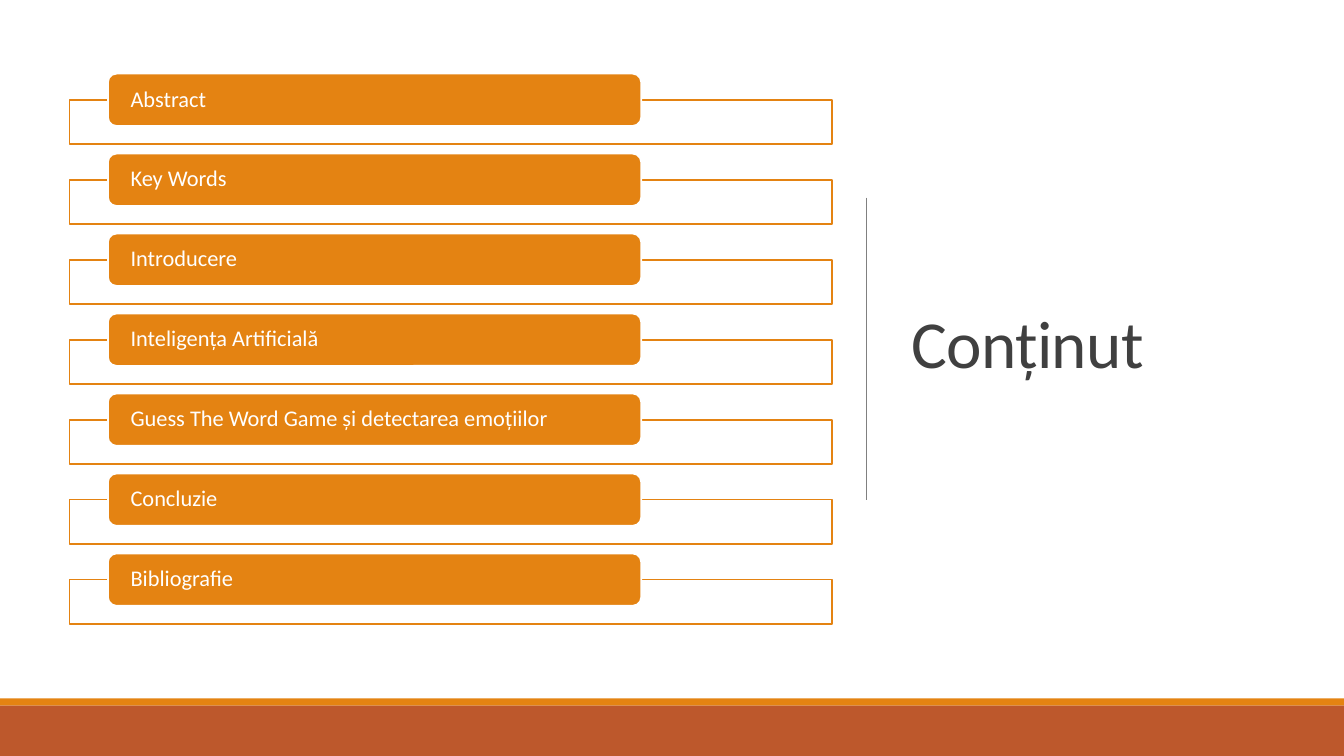
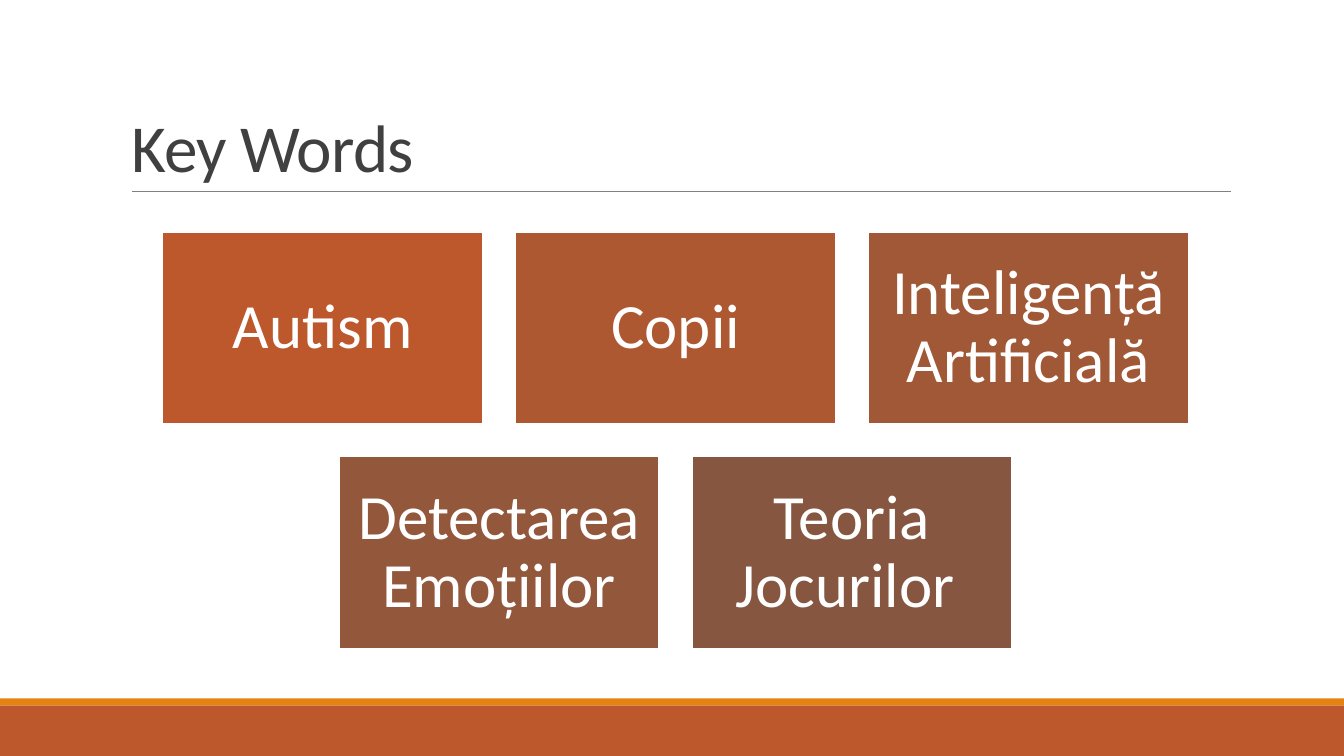
"""Builds the contents and key words slides."""
from lxml import etree
from pptx import Presentation
from pptx.dml.color import RGBColor
from pptx.enum import shapes, text
from pptx.oxml import ns
from pptx.util import Inches, Pt

WHITE = RGBColor(0xFF, 0xFF, 0xFF)
ORANGE = RGBColor(0xE4, 0x83, 0x12)
RUST = RGBColor(0xBD, 0x58, 0x2C)
TITLE_GRAY = RGBColor(0x40, 0x40, 0x40)
RULE_GRAY = RGBColor(0x80, 0x80, 0x80)
KEYWORD_FILLS = (
    RUST,
    RGBColor(0xAE, 0x58, 0x32),
    RGBColor(0xA0, 0x58, 0x37),
    RGBColor(0x93, 0x57, 0x3C),
    RGBColor(0x86, 0x56, 0x40),
)

TOPICS = (
    "Abstract",
    "Key Words",
    "Introducere",
    "Inteligența Artificială",
    "Guess The Word Game și detectarea emoțiilor",
    "Concluzie",
    "Bibliografie",
)
KEYWORD_ROWS = (
    ("Autism", "Copii", "Inteligență Artificială"),
    ("Detectarea Emoțiilor", "Teoria Jocurilor "),
)


def write(frame, words, size=16, color=WHITE, align=text.PP_ALIGN.LEFT,
          anchor=text.MSO_ANCHOR.MIDDLE, line_spacing=0.9, tracking=None,
          insets=(0.1, 0.05)):
    frame.word_wrap = True
    frame.auto_size = text.MSO_AUTO_SIZE.NONE
    frame.vertical_anchor = anchor
    frame.margin_left = frame.margin_right = Inches(insets[0])
    frame.margin_top = frame.margin_bottom = Inches(insets[1])
    paragraph = frame.paragraphs[0]
    paragraph.alignment = align
    paragraph.line_spacing = line_spacing
    run = paragraph.add_run()
    run.text = words
    run.font.name = "Calibri"
    run.font.size = Pt(size)
    run.font.color.rgb = color
    if tracking is not None:
        run.font._element.set("spc", str(int(tracking * 100)))


class Deck:
    def __init__(self):
        self.deck = Presentation()
        self.deck.slide_width = Inches(13.33)
        self.deck.slide_height = Inches(7.5)
        self.slide = None

    def add_slide(self, title, box, anchor):
        self.slide = self.deck.slides.add_slide(self.deck.slide_layouts[5])
        heading = self.slide.shapes.title
        heading.left, heading.top, heading.width, heading.height = map(Inches, box)
        write(heading.text_frame, title, size=48, color=TITLE_GRAY, anchor=anchor,
              line_spacing=0.85, tracking=-0.5)
        self.box(0, 6.93, 13.33, 0.07, ORANGE)
        self.box(0, 7, 13.33, 0.5, RUST)

    def box(self, left, top, width, height, fill, outline=None, rounded=False):
        kind = shapes.MSO_SHAPE.ROUNDED_RECTANGLE if rounded else shapes.MSO_SHAPE.RECTANGLE
        box = self.slide.shapes.add_shape(
            kind, Inches(left), Inches(top), Inches(width), Inches(height))
        box.shadow.inherit = False
        box.fill.solid()
        box.fill.fore_color.rgb = fill
        if outline is None:
            box.line.fill.background()
        else:
            box.line.color.rgb = outline
            box.line.width = Pt(1.25)
        return box

    def rule(self, start_x, start_y, end_x, end_y):
        rule = self.slide.shapes.add_connector(
            shapes.MSO_CONNECTOR.STRAIGHT,
            Inches(start_x), Inches(start_y), Inches(end_x), Inches(end_y))
        rule.line.color.rgb = RULE_GRAY
        rule.line.width = Pt(0.5)
        etree.SubElement(rule._element.spPr, ns.qn("a:effectLst"))

    def topic(self, words, top):
        self.box(0.69, top + 0.26, 7.56, 0.44, WHITE, ORANGE)
        label = self.box(1.07, top, 5.29, 0.52, ORANGE, WHITE, rounded=True)
        write(label.text_frame, words, insets=(0.2, 0))

    def keyword(self, words, left, top, width, height, fill):
        card = self.box(left, top, width, height, fill, WHITE)
        write(card.text_frame, words, size=45, align=text.PP_ALIGN.CENTER,
              insets=(0.19, 0.19))

    def save(self):
        self.deck.save("out.pptx")


def contents_slide(deck):
    deck.add_slide("Conținut", (8.94, 0.69, 3.69, 5.53), text.MSO_ANCHOR.MIDDLE)
    deck.rule(8.59, 1.96, 8.59, 4.96)
    first_top, last_top = 0.73, 5.49
    pitch = (last_top - first_top) / (len(TOPICS) - 1)
    for position, topic in enumerate(TOPICS):
        deck.topic(topic, first_top + position * pitch)


def keywords_slide(deck):
    deck.add_slide("Key Words", (1.2, 0.31, 11, 1.59), text.MSO_ANCHOR.BOTTOM)
    deck.rule(1.31, 1.9, 12.21, 1.9)
    center, first_top = 6.7, 2.3
    width, height, gap = 3.18, 1.91, 0.32
    fills = iter(KEYWORD_FILLS)
    for row, keywords in enumerate(KEYWORD_ROWS):
        row_width = len(keywords) * (width + gap) - gap
        for column, keyword in enumerate(keywords):
            deck.keyword(keyword, center - row_width / 2 + column * (width + gap),
                         first_top + row * (height + gap), width, height, next(fills))


deck = Deck()
contents_slide(deck)
keywords_slide(deck)
deck.save()
